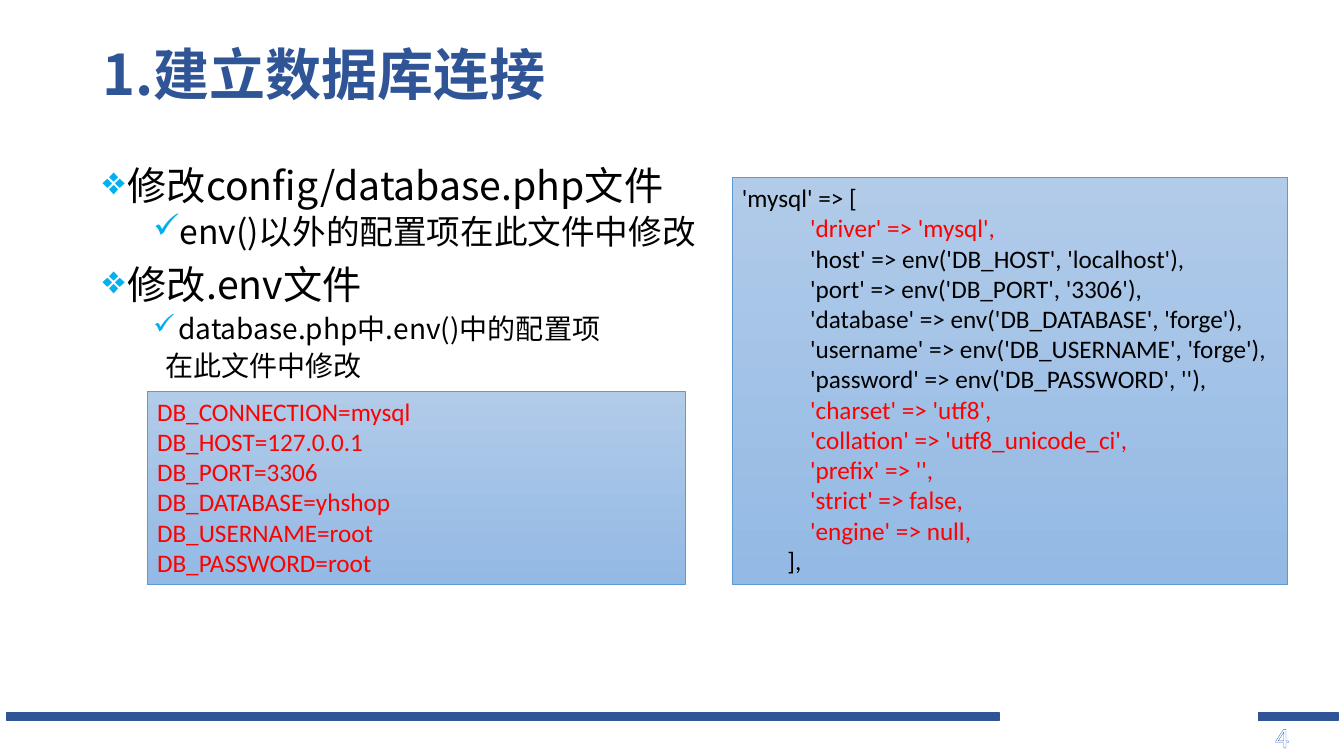
from lxml.etree import SubElement
from pptx import Presentation
from pptx.dml.color import RGBColor
from pptx.enum.shapes import MSO_SHAPE
from pptx.enum.text import MSO_ANCHOR, PP_ALIGN
from pptx.oxml import parse_xml
from pptx.oxml.ns import nsdecls, qn
from pptx.util import Inches, Pt

NAVY = RGBColor(0x2F, 0x55, 0x97)
SKY = RGBColor(0x00, 0xB0, 0xF0)
PANEL_TOP = RGBColor(0xB1, 0xCB, 0xE9)
PANEL_BOTTOM = RGBColor(0x93, 0xB9, 0xE4)
PANEL_EDGE = RGBColor(0x5B, 0x9B, 0xD5)
DIGIT_EDGE = RGBColor(0x44, 0x72, 0xC4)
DIGIT_HATCH = RGBColor(0x8F, 0xAA, 0xDC)
WHITE = RGBColor(0xFF, 0xFF, 0xFF)
BLACK = RGBColor(0, 0, 0)
RED = RGBColor(0xFF, 0, 0)

HEAD_FONT = "Noto Sans CJK SC"
CODE_FONT = "Calibri"


def write(para, text, font=HEAD_FONT, size=18, color=BLACK, bold=False):
    """Add one formatted span of text to a paragraph."""
    span = para.add_run()
    span.text = text
    span.font.name = font
    span.font.size = Pt(size)
    span.font.bold = bold
    span.font.color.rgb = color
    SubElement(span.font._element, qn("a:ea")).set("typeface", font)
    return span


class SlideBuilder:
    """Places elements by percentages of the slide's width and height."""

    def __init__(self, deck):
        self.deck = deck
        self.slide = deck.slides.add_slide(deck.slide_layouts[6])

    def place(self, left, top, width, height):
        across, down = self.deck.slide_width / 100, self.deck.slide_height / 100
        return (round(left * across), round(top * down),
                round(width * across), round(height * down))

    def rectangle(self, area, edge, edge_width):
        shape = self.slide.shapes.add_shape(MSO_SHAPE.RECTANGLE, *self.place(*area))
        shape.shadow.inherit = False
        shape.line.color.rgb = edge
        shape.line.width = Pt(edge_width)
        return shape

    def bar(self, left, width):
        shape = self.rectangle((left, 94.27, width, 1.07), NAVY, 1)
        shape.fill.solid()
        shape.fill.fore_color.rgb = NAVY

    def text_box(self, area, anchor=MSO_ANCHOR.TOP):
        frame = self.slide.shapes.add_textbox(*self.place(*area)).text_frame
        frame.word_wrap = True
        frame.vertical_anchor = anchor
        return frame

    def title(self, text):
        frame = self.text_box((6.9, 0.53, 86.27, 19.33), MSO_ANCHOR.MIDDLE)
        para = frame.paragraphs[0]
        para.line_spacing = 0.9
        write(para, text, size=40, color=NAVY, bold=True)

    def outline(self, items):
        frame = self.text_box((6.9, 21.33, 86.27, 63.47))
        for index, (text, size, mark, margin, before) in enumerate(items):
            para = frame.add_paragraph() if index else frame.paragraphs[0]
            props = para._p.get_or_add_pPr()
            props.set("marL", str(Inches(margin)))
            props.set("indent", str(Inches(-0.25 if mark else 0)))
            if mark:
                tint = SubElement(props, qn("a:buClr"))
                SubElement(tint, qn("a:srgbClr")).set("val", str(SKY))
                SubElement(props, qn("a:buChar")).set("char", mark)
            para.line_spacing = 0.9
            if index:
                para.space_before = Pt(before)
            write(para, text, size=size)

    def code_panel(self, area, lines):
        shape = self.rectangle(area, PANEL_EDGE, 0.5)
        shape.fill.gradient()
        shape.fill.gradient_angle = 270
        for stop, color in zip(shape.fill.gradient_stops, (PANEL_TOP, PANEL_BOTTOM)):
            stop.color.rgb = color
        frame = shape.text_frame
        frame.word_wrap = True
        frame.vertical_anchor = MSO_ANCHOR.TOP
        for index, (text, color) in enumerate(lines):
            para = frame.add_paragraph() if index else frame.paragraphs[0]
            para.alignment = PP_ALIGN.LEFT
            write(para, text, font=CODE_FONT, color=color)

    def page_number(self, text):
        frame = self.text_box((94.15, 94.93, 5.4, 5.33))
        props = write(frame.paragraphs[0], text).font._element
        props.remove(props.find(qn("a:solidFill")))
        # Hatched digit with a thin outline
        props.insert(0, parse_xml(
            f'<a:ln {nsdecls("a")} w="{Pt(1)}"><a:solidFill>'
            f'<a:srgbClr val="{DIGIT_EDGE}"/></a:solidFill></a:ln>'))
        props.insert(1, parse_xml(
            f'<a:pattFill {nsdecls("a")} prst="ltDnDiag">'
            f'<a:fgClr><a:srgbClr val="{DIGIT_HATCH}"/></a:fgClr>'
            f'<a:bgClr><a:srgbClr val="{WHITE}"/></a:bgClr></a:pattFill>'))


def main():
    deck = Presentation()
    deck.slide_width, deck.slide_height = Inches(13.33), Inches(7.5)
    page = SlideBuilder(deck)

    # Footer
    page.bar(0.53, 73.82)
    page.bar(93.62, 5.93)
    page.page_number("4")

    # Title and steps: text, size, bullet, margin, space before
    page.title("1.建立数据库连接")
    page.outline([
        ("修改config/database.php文件", 28, "❖", 0.25, 0),
        ("env()以外的配置项在此文件中修改", 24, "✓", 0.75, 5),
        ("修改.env文件", 28, "❖", 0.25, 10),
        ("database.php中.env()中的配置项", 20, "✓", 0.75, 5),
        ("在此文件中修改", 20, None, 0.62, 5),
    ])

    # Connection settings: values taken from env() are black
    page.code_panel((54.46, 23.47, 41.34, 53.87), [
        ("'mysql' => [", BLACK),
        ("            'driver' => 'mysql',", RED),
        ("            'host' => env('DB_HOST', 'localhost'),", BLACK),
        ("            'port' => env('DB_PORT', '3306'),", BLACK),
        ("            'database' => env('DB_DATABASE', 'forge'),", BLACK),
        ("            'username' => env('DB_USERNAME', 'forge'),", BLACK),
        ("            'password' => env('DB_PASSWORD', ''),", BLACK),
        ("            'charset' => 'utf8',", RED),
        ("            'collation' => 'utf8_unicode_ci',", RED),
        ("            'prefix' => '',", RED),
        ("            'strict' => false,", RED),
        ("            'engine' => null,", RED),
        ("        ],", BLACK),
    ])

    # Environment file
    settings = ["DB_CONNECTION=mysql", "DB_HOST=127.0.0.1", "DB_PORT=3306",
                "DB_DATABASE=yhshop", "DB_USERNAME=root", "DB_PASSWORD=root"]
    page.code_panel((10.95, 51.73, 40.06, 25.6), [(line, RED) for line in settings])

    deck.save("out.pptx")


if __name__ == "__main__":
    main()
